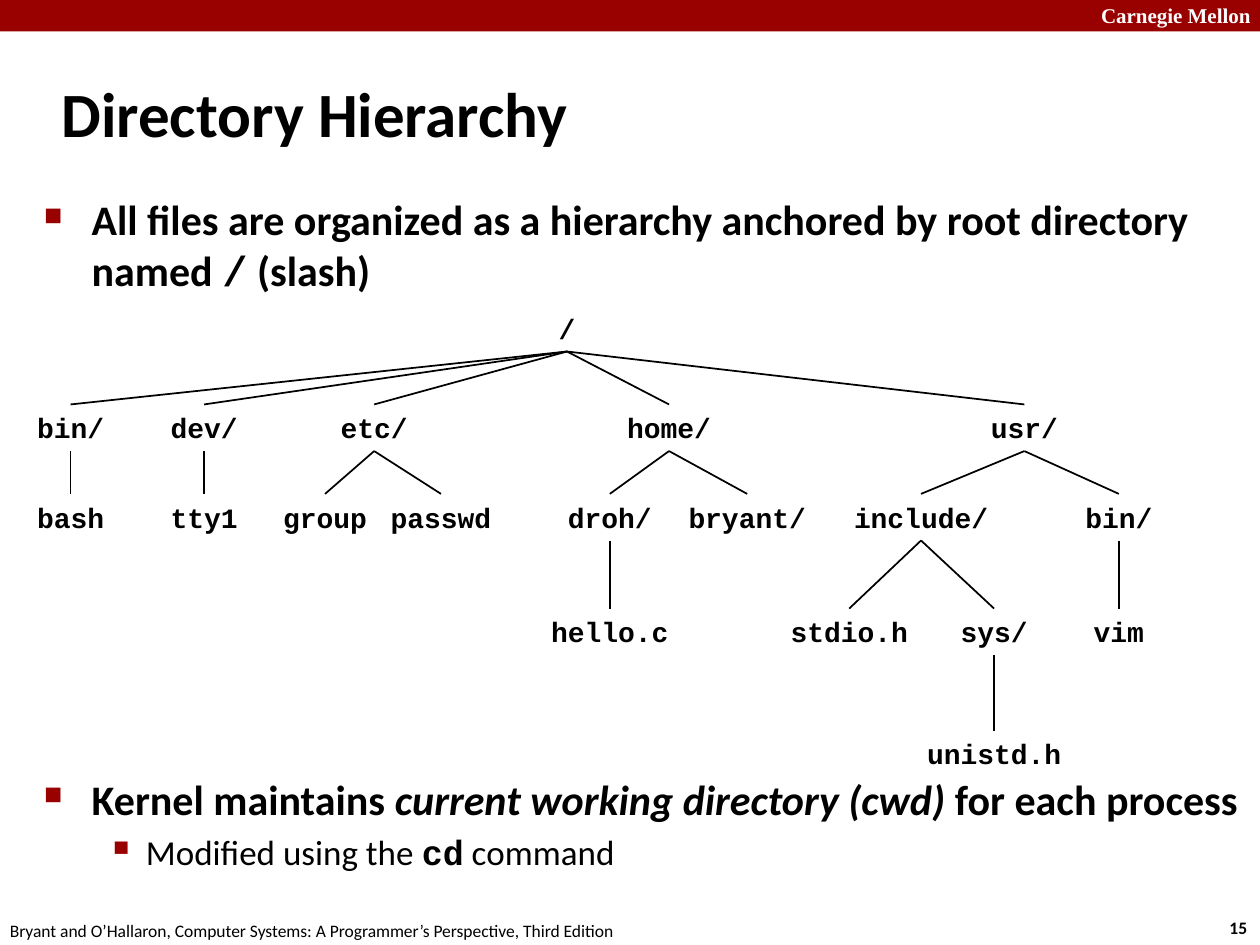
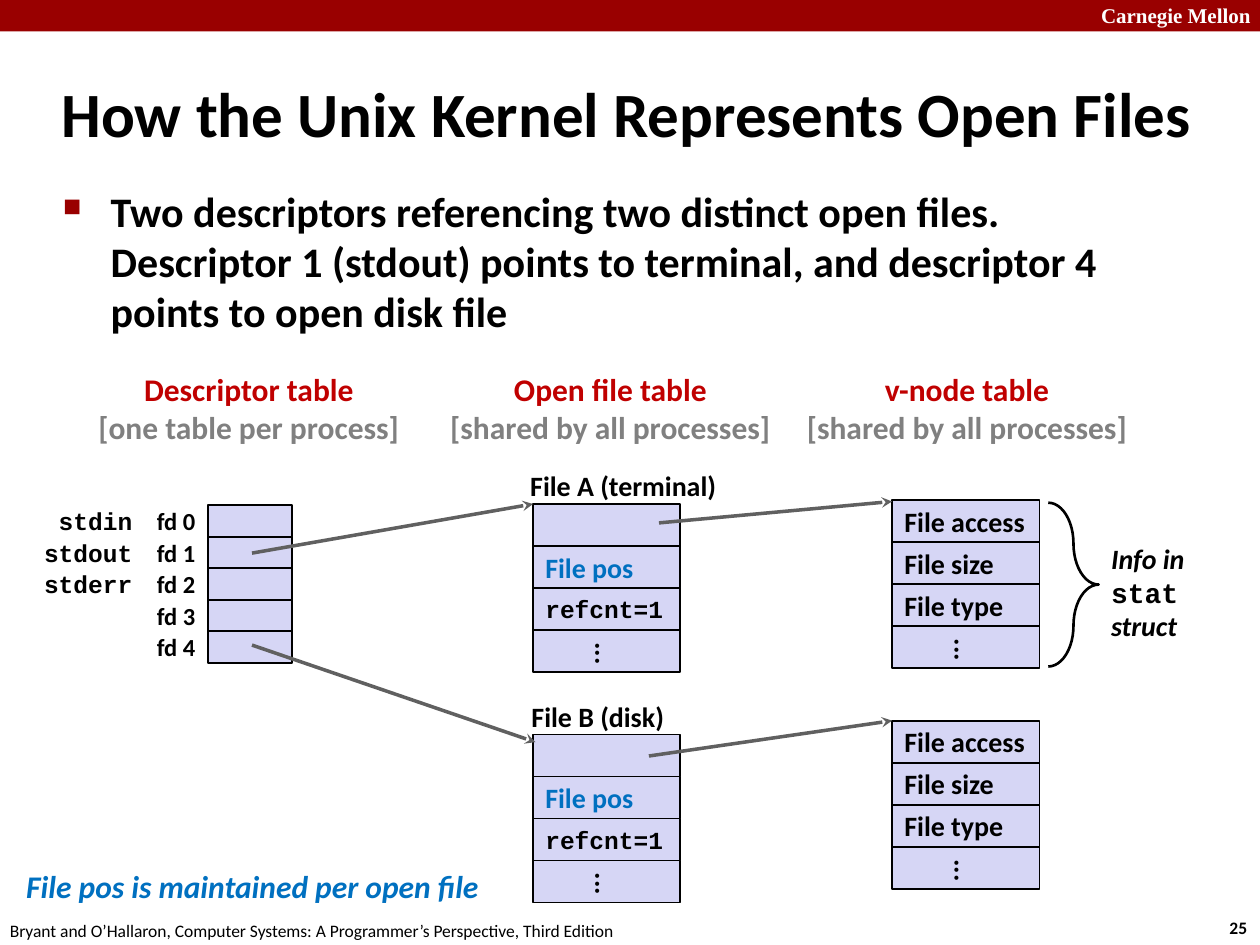
"""Builds two lecture slides on Unix directories and open files."""
from lxml import etree
from pptx import Presentation
from pptx.dml.color import RGBColor
from pptx.enum.shapes import MSO_CONNECTOR, MSO_SHAPE
from pptx.enum.text import MSO_ANCHOR, PP_ALIGN
from pptx.oxml.ns import qn
from pptx.util import Inches, Pt

COLORS = {
    "black": "000000", "white": "FFFFFF", "band": "990000", "heading": "C00000",
    "scope": "808080", "cell": "D6D6F5", "position": "0070C0", "arrow": "606060",
}
SANS, MONO, SERIF = "Calibri", "Courier New", "Times New Roman"
BULLETS = [("■", "60000", 0.38, 0.38, 4.8), ("▪", "110000", 0.81, 0.31, 4)]
LEFT, CENTER, RIGHT = PP_ALIGN.LEFT, PP_ALIGN.CENTER, PP_ALIGN.RIGHT
TOP, MIDDLE = MSO_ANCHOR.TOP, MSO_ANCHOR.MIDDLE


def write(slide, box, paragraphs, size, align=LEFT, anchor=TOP, wrap=False,
          fill=None, bulleted=False, **style):
    place = [Inches(length) for length in box]
    if fill:
        shape = slide.shapes.add_shape(MSO_SHAPE.RECTANGLE, *place)
        shape.shadow.inherit = False
        shape.fill.solid()
        shape.fill.fore_color.rgb = RGBColor.from_string(COLORS[fill])
        shape.line.color.rgb = RGBColor.from_string(COLORS["black"])
        shape.line.width = Pt(1)
    else:
        shape = slide.shapes.add_textbox(*place)
    frame = shape.text_frame
    frame.word_wrap = wrap
    frame.vertical_anchor = anchor
    for index, pieces in enumerate(paragraphs):
        paragraph = frame.paragraphs[0] if index == 0 else frame.add_paragraph()
        paragraph.alignment = align
        if bulleted:
            mark, scale, margin, hanging, gap = BULLETS[index]
            if index:
                paragraph.space_before = Pt(gap)
            properties = paragraph._p.get_or_add_pPr()
            properties.set("marL", str(Inches(margin)))
            properties.set("indent", str(-Inches(hanging)))
            bullet_color = etree.SubElement(properties, qn("a:buClr"))
            etree.SubElement(bullet_color, qn("a:srgbClr"), val=COLORS["band"])
            etree.SubElement(properties, qn("a:buSzPct"), val=scale)
            etree.SubElement(properties, qn("a:buChar"), char=mark)
        for words, changes in [(pieces, {})] if isinstance(pieces, str) else pieces:
            look = {"size": size, "font": SANS, "color": "black", "bold": True,
                    "italic": False, **style, **changes}
            run = paragraph.add_run()
            run.text = words
            run.font.size = Pt(look["size"])
            run.font.name = look["font"]
            run.font.bold = look["bold"]
            run.font.italic = look["italic"]
            run.font.color.rgb = RGBColor.from_string(COLORS[look["color"]])
    return shape


def link(slide, start, end, color="black", width=1, arrow=False):
    ends = [Inches(length) for length in (*start, *end)]
    line = slide.shapes.add_connector(MSO_CONNECTOR.STRAIGHT, *ends)
    line.line.color.rgb = RGBColor.from_string(COLORS[color])
    line.line.width = Pt(width)
    if arrow:
        etree.SubElement(line.line._get_or_add_ln(), qn("a:tailEnd"), type="stealth")
    etree.SubElement(line._element.spPr, qn("a:effectLst"))


presentation = Presentation()
presentation.slide_width = Inches(10)
presentation.slide_height = Inches(7.5)

slides = []
for title, number in [("Directory Hierarchy", "15"),
                      ("How the Unix Kernel Represents Open Files", "25")]:
    slide = presentation.slides.add_slide(presentation.slide_layouts[6])
    band = write(slide, (0, 0, 10, 0.25), [], 12, fill="band")
    band.line.fill.background()
    write(slide, (8.64, -0.03, 1.43, 0.3), ["Carnegie Mellon"], 12, wrap=True,
          font=SERIF, color="white")
    write(slide, (9.66, 7.23, 0.37, 0.27), [number], 10)
    write(slide, (-0.02, 7.25, 5.08, 0.27),
          ["Bryant and O’Hallaron, Computer Systems: "
           "A Programmer’s Perspective, Third Edition"], 10, bold=False)
    write(slide, (0.39, 0.48, 9.53, 0.83), [title], 36, anchor=MIDDLE, wrap=True)
    slides.append(slide)
hierarchy, open_files = slides

write(hierarchy, (0.25, 1.49, 9.73, 0.91), [[
    ("All files are organized as a hierarchy anchored by root directory named ", {}),
    ("/", {"font": MONO}),
    (" (slash)", {}),
]], 24, wrap=True, bulleted=True)
write(hierarchy, (0.25, 6.09, 9.73, 0.95), [
    [("Kernel maintains ", {}),
     ("current working directory (cwd) ", {"italic": True}),
     ("for each process", {})],
    [("Modified using the ", {"size": 20, "bold": False}),
     ("cd", {"size": 20, "font": MONO}),
     (" command", {"size": 20, "bold": False})],
], 24, wrap=True, bulleted=True)

LEVEL_TOPS = [2.42, 3.21, 3.92, 4.83, 5.8]
LABEL_HEIGHT = 0.37
entry_centers = {
    "/": 4.5,
    "/bin/": 0.56, "/bin/bash": 0.56,
    "/dev/": 1.62, "/dev/tty1": 1.62,
    "/etc/": 2.97, "/etc/group": 2.58, "/etc/passwd": 3.5,
    "/home/": 5.31, "/home/droh/": 4.84, "/home/droh/hello.c": 4.84,
    "/home/bryant/": 5.93,
    "/usr/": 8.13, "/usr/include/": 7.31, "/usr/include/stdio.h": 6.74,
    "/usr/include/sys/": 7.89, "/usr/include/sys/unistd.h": 7.89,
    "/usr/bin/": 8.88, "/usr/bin/vim": 8.88,
}
for entry, center in entry_centers.items():
    parent = entry.rstrip("/").rpartition("/")[0] + "/"
    label = entry[len(parent):] or "/"
    level = entry.rstrip("/").count("/")
    width = 0.2 + len(label) * 9.6 / 72
    write(hierarchy, (center - width / 2, LEVEL_TOPS[level], width, LABEL_HEIGHT),
          [label], 16, align=CENTER, font=MONO)
    if level:
        link(hierarchy, (entry_centers[parent], LEVEL_TOPS[level - 1] + LABEL_HEIGHT),
             (center, LEVEL_TOPS[level]))

write(open_files, (0.4, 1.42, 9.09, 1.42), [
    "Two descriptors referencing two distinct open files. Descriptor 1 (stdout) "
    "points to terminal, and descriptor 4 points to open disk file",
], 24, wrap=True, bulleted=True)

for heading, scope, left, width in [
    ("Descriptor table", "[one table per process]", 0.67, 2.61),
    ("Open file table", "[shared by all processes]", 3.46, 2.77),
    ("v-node table", "[shared by all processes]", 6.29, 2.77),
]:
    write(open_files, (left, 2.88, width, 0.71),
          [heading, [(scope, {"color": "scope"})]], 18, align=CENTER,
          anchor=MIDDLE, color="heading")

for descriptor in range(5):
    top = 4.01 + descriptor * 0.25
    write(open_files, (1.65, top, 0.67, 0.25), [], 14, fill="cell")
    write(open_files, (0.98, top, 0.67, 0.25), [f"fd {descriptor}"], 14,
          align=RIGHT, anchor=MIDDLE)
for row, stream in enumerate(["stdin", "stdout", "stderr"]):
    write(open_files, (0.25, 3.97 + row * 0.25, 0.9, 0.33), [stream], 14,
          align=RIGHT, anchor=MIDDLE, font=MONO)

file_entry = [("", {}), ("File pos", {"color": "position"}),
              ("refcnt=1", {"font": MONO, "size": 14}), ("...", {})]
vnode_entry = [("File access", {}), ("File size", {}), ("File type", {}), ("...", {})]
for left, top, fields in [(4.23, 4, file_entry), (4.23, 5.83, file_entry),
                          (7.08, 3.97, vnode_entry), (7.08, 5.72, vnode_entry)]:
    for row, (field, look) in enumerate(fields):
        cell = write(open_files, (left, top + row / 3, 1.17, 1 / 3),
                     [[(field, look)]] if field else [], 16, anchor=MIDDLE, fill="cell")
        if field == "...":
            cell.text_frame._txBody.bodyPr.set("vert", "eaVert")

write(open_files, (4.11, 3.67, 1.69, 0.37), ["File A (terminal)"], 16, anchor=MIDDLE)
write(open_files, (4.12, 5.5, 1.27, 0.37), ["File B (disk)"], 16, anchor=MIDDLE)

for start, end in [((2, 4.39), (4.23, 4)), ((2, 5.12), (4.25, 5.89)),
                   ((5.23, 4.15), (7.08, 3.98)), ((5.15, 6), (7.08, 5.72))]:
    link(open_files, start, end, "arrow", 2, arrow=True)

stat_brace = open_files.shapes.add_shape(
    MSO_SHAPE.RIGHT_BRACE, Inches(8.32), Inches(3.99), Inches(0.4), Inches(1.3))
stat_brace.adjustments[0] = 1.33
stat_brace.shadow.inherit = False
stat_brace.fill.background()
stat_brace.line.color.rgb = RGBColor.from_string(COLORS["black"])
stat_brace.line.width = Pt(1.5)
write(open_files, (8.72, 4.25, 1, 0.91), [
    "Info in",
    [("stat ", {"font": MONO, "italic": False}), ("struct", {})],
], 16, wrap=True, italic=True)
write(open_files, (0.08, 6.83, 3.85, 0.4), ["File pos is maintained per open file"], 18,
      align=CENTER, anchor=MIDDLE, wrap=True, color="position", italic=True)

presentation.save("out.pptx")
